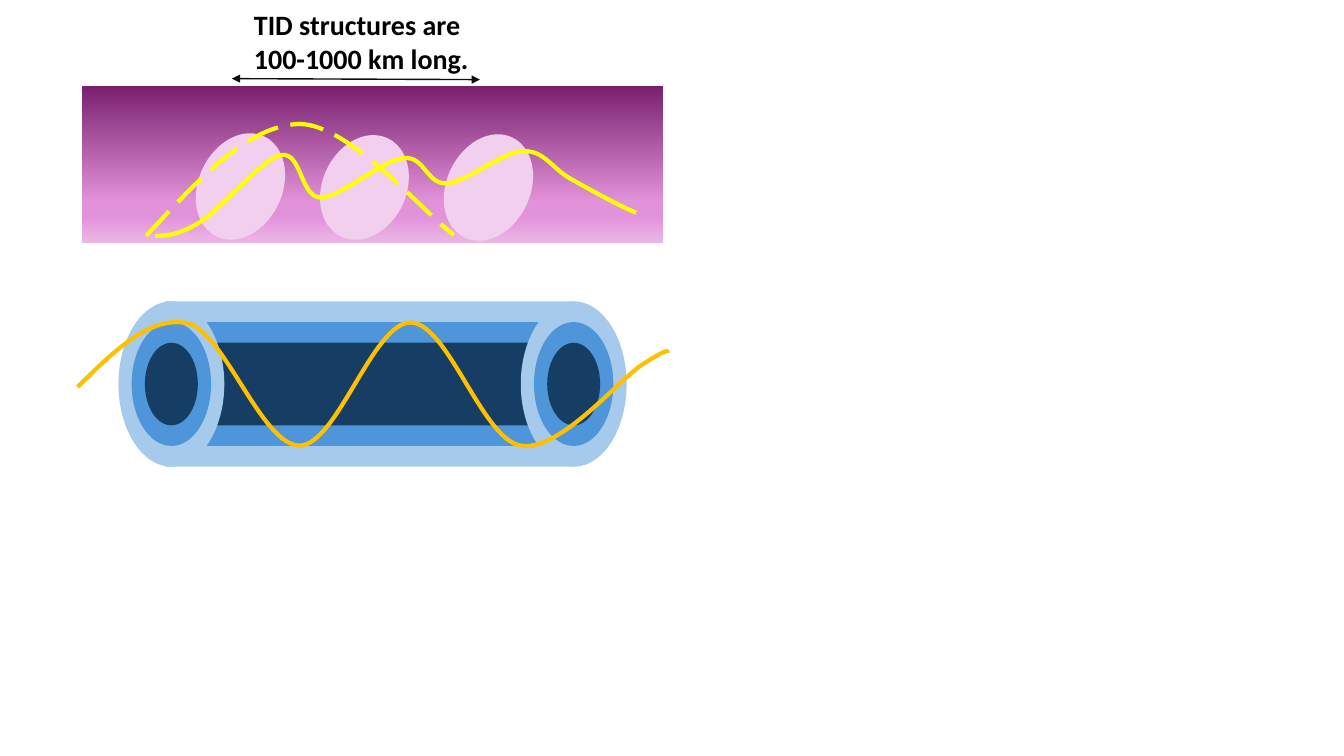
from lxml.etree import SubElement
from pptx import Presentation
from pptx.dml.color import RGBColor
from pptx.enum.dml import MSO_LINE_DASH_STYLE as Dash
from pptx.enum.shapes import MSO_CONNECTOR, MSO_SHAPE
from pptx.oxml.ns import qn
from pptx.util import Inches, Pt

COLORS = {
    "outer": "A6CAEC", "middle": "4E95D9", "core": "163E64",
    "duct wave": "FFC000", "layer wave": "FFFF00",
    "blob": "F2CFEE", "arrow": "0D0D0D", "text": "000000",
}
LABEL = "TID structures are 100-1000 km long."
LAYER_BOX = (0.81, 0.85, 5.77, 1.56)
LAYER_STOPS = [(0, "78206E"), (74, "E292D9"), (83, "E292D9"), (100, "EBB6E6")]
BLOBS = [(1.97, 1.3, 0.83, 1.1), (3.2, 1.32, 0.83, 1.08), (4.43, 1.31, 0.83, 1.1)]
BLOB_TILT = 25.3

DUCT_RINGS = [("outer", 1), ("middle", 0.75), ("core", 0.5)]
DUCT_LEFT, DUCT_WIDTH, DUCT_HEIGHT, DUCT_MIDDLE = 1.64, 4.05, 1.64, 3.81
DUCT_END_CENTERS, DUCT_END_WIDTH = (5.69, 1.7), 1.05

# Each wave: start point, then Bezier triples (control, control, end).
DUCT_WAVE = [
    (0.77, 3.84), (1.13, 3.48), (1.5, 3.12), (1.87, 3.21),
    (2.23, 3.31), (2.6, 4.42), (2.97, 4.42),
    (3.34, 4.42), (3.7, 3.2), (4.07, 3.2),
    (4.44, 3.2), (4.78, 4.35), (5.16, 4.42),
    (5.55, 4.49), (6.14, 3.76), (6.38, 3.61),
    (6.63, 3.45), (6.63, 3.48), (6.62, 3.5),
]
RIPPLED_WAVE = [
    (1.54, 2.34), (1.66, 2.34), (1.78, 2.33), (1.99, 2.2),
    (2.2, 2.07), (2.59, 1.58), (2.79, 1.54),
    (2.99, 1.5), (2.98, 1.96), (3.18, 1.96),
    (3.38, 1.96), (3.79, 1.59), (4, 1.57),
    (4.21, 1.54), (4.23, 1.83), (4.43, 1.82),
    (4.63, 1.81), (4.99, 1.5), (5.19, 1.5),
    (5.4, 1.49), (5.48, 1.68), (5.67, 1.78),
    (5.85, 1.88), (6.17, 2.06), (6.31, 2.11),
]
SMOOTH_WAVE = [
    (1.45, 2.34), (1.96, 1.79), (2.46, 1.24), (2.97, 1.23),
    (3.47, 1.23), (4.23, 2.14), (4.5, 2.33),
]


def rgb(name):
    return RGBColor.from_string(COLORS[name])


def add_solid(group, kind, box, color):
    """Add a borderless preset shape, filled with a named colour."""
    shape = group.shapes.add_shape(kind, *map(Inches, box))
    shape.shadow.inherit = False
    shape.line.fill.background()
    shape.fill.solid()
    shape.fill.fore_color.rgb = rgb(color)
    return shape


def bend_segments(curve, wave):
    """Turn the straight segments of a freeform into cubic Beziers."""
    segments = list(curve._element.iter(qn("a:lnTo")))
    for i, segment in enumerate(segments):
        bezier = SubElement(segment.getparent(), qn("a:cubicBezTo"))
        for x, y in wave[3 * i + 1:3 * i + 4]:
            SubElement(bezier, qn("a:pt"),
                       x=str(Inches(x) - curve.left), y=str(Inches(y) - curve.top))
        segment.getparent().replace(segment, bezier)


def add_wave(group, wave, color, dash=None):
    builder = group.shapes.build_freeform(*map(Inches, wave[0]))
    anchors = [(Inches(x), Inches(y)) for x, y in wave[3::3]]
    builder.add_line_segments(anchors, close=False)
    curve = builder.convert_to_shape()
    bend_segments(curve, wave)
    curve.shadow.inherit = False
    curve.fill.background()
    curve.line.color.rgb = rgb(color)
    curve.line.width = Pt(3)
    if dash:
        curve.line.dash_style = dash


def add_duct(slide):
    duct = slide.shapes.add_group_shape()
    for color, scale in DUCT_RINGS:
        height = DUCT_HEIGHT * scale
        add_solid(duct, MSO_SHAPE.RECTANGLE,
                  (DUCT_LEFT, DUCT_MIDDLE - height / 2, DUCT_WIDTH, height), color)
    for center in DUCT_END_CENTERS:
        for color, scale in DUCT_RINGS:
            width, height = DUCT_END_WIDTH * scale, DUCT_HEIGHT * scale
            add_solid(duct, MSO_SHAPE.OVAL,
                      (center - width / 2, DUCT_MIDDLE - height / 2, width, height), color)
    add_wave(duct, DUCT_WAVE, "duct wave")


def apply_layer_gradient(layer):
    layer.fill.gradient()
    layer.fill.gradient_angle = 270
    stops = layer.fill._fill._gradFill.find(qn("a:gsLst"))
    for stop in list(stops):
        stops.remove(stop)
    for percent, color in LAYER_STOPS:
        stop = SubElement(stops, qn("a:gs"), pos=str(percent * 1000))
        SubElement(stop, qn("a:srgbClr"), val=color)


def add_length_arrow(group):
    arrow = group.shapes.add_connector(
        MSO_CONNECTOR.STRAIGHT, Inches(2.3), Inches(0.78), Inches(4.76), Inches(0.79))
    arrow.line.color.rgb = rgb("arrow")
    arrow.line.width = Pt(1)
    for end in ("a:headEnd", "a:tailEnd"):
        SubElement(arrow.line._get_or_add_ln(), qn(end), type="triangle")
    SubElement(arrow._element.spPr, qn("a:effectLst"))


def add_label(group):
    label = group.shapes.add_textbox(Inches(2.42), Inches(0.03), Inches(2.63), Inches(0.77))
    label.text_frame.word_wrap = True
    paragraph = label.text_frame.paragraphs[0]
    paragraph.text = LABEL
    font = paragraph.font
    font.name, font.size, font.bold = "Calibri", Pt(20), True
    font.color.rgb = rgb("text")


def add_layer(slide):
    group = slide.shapes.add_group_shape()
    apply_layer_gradient(add_solid(group, MSO_SHAPE.RECTANGLE, LAYER_BOX, "blob"))
    for box in BLOBS:
        add_solid(group, MSO_SHAPE.OVAL, box, "blob").rotation = BLOB_TILT
    add_wave(group, RIPPLED_WAVE, "layer wave")
    add_length_arrow(group)
    add_label(group)
    add_wave(group, SMOOTH_WAVE, "layer wave", Dash.LONG_DASH)


def main():
    prs = Presentation()
    prs.slide_width, prs.slide_height = Inches(13.33), Inches(7.5)
    slide = prs.slides.add_slide(prs.slide_layouts[6])
    add_duct(slide)
    add_layer(slide)
    prs.save("out.pptx")


if __name__ == "__main__":
    main()
